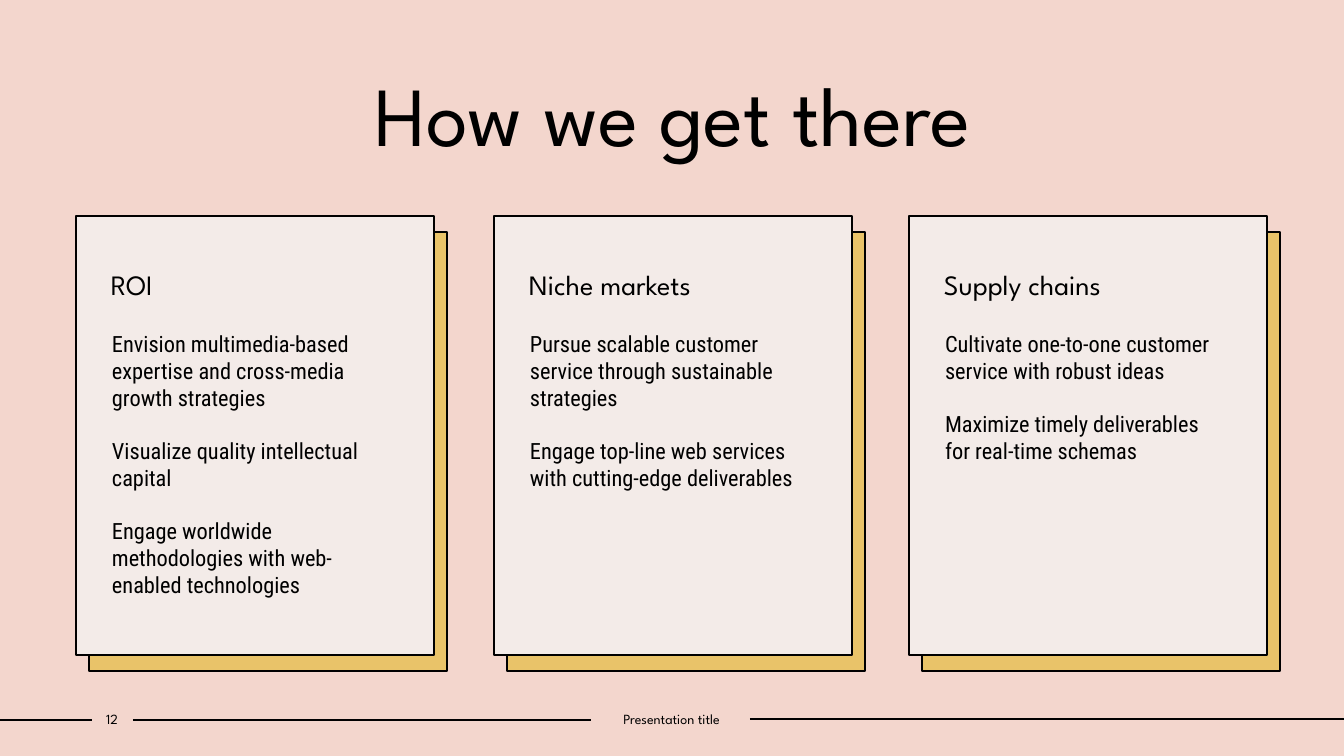
import pptx
import pptx.dml.color
import pptx.enum.shapes
import pptx.enum.text
import pptx.oxml.ns
import pptx.util
from lxml import etree

SLIDE_WIDTH, SLIDE_HEIGHT = 1344, 756
PX = 12192000 / SLIDE_WIDTH
BLACK = pptx.dml.color.RGBColor(0x00, 0x00, 0x00)
PINK = pptx.dml.color.RGBColor(0xF3, 0xD6, 0xCD)
CREAM = pptx.dml.color.RGBColor(0xF3, 0xEB, 0xE8)
GOLD = pptx.dml.color.RGBColor(0xE9, 0xC3, 0x69)
HEADING_FONT = "League Spartan"
LIST_FONT = "Roboto Condensed"
ALIGN = pptx.enum.text.PP_ALIGN
ANCHOR = pptx.enum.text.MSO_ANCHOR

CARD_TOP, CARD_WIDTH, CARD_HEIGHT = 216, 358, 439
CARDS = [
    (76, "ROI", [
        "Envision multimedia-based expertise and cross-media growth strategies",
        "Visualize quality intellectual capital",
        "Engage worldwide methodologies with web-enabled technologies",
    ]),
    (494, "Niche markets", [
        "Pursue scalable customer service through sustainable strategies",
        "Engage top-line web services with cutting-edge deliverables",
    ]),
    (909, "Supply chains", [
        "Cultivate one-to-one customer service with robust ideas",
        "Maximize timely deliverables for real-time schemas",
    ]),
]


def px(length):
    return pptx.util.Emu(round(length * PX))


def place(part, left, top, width, height):
    part.left, part.top = px(left), px(top)
    part.width, part.height = px(width), px(height)


def write(part, lines, font, size, align, anchor, insets, spacing=1.0, gap=0):
    frame = part.text_frame
    frame.text = "\n".join(lines)
    frame.word_wrap = True
    frame.auto_size = pptx.enum.text.MSO_AUTO_SIZE.NONE
    frame.vertical_anchor = anchor
    (frame.margin_left, frame.margin_top,
     frame.margin_right, frame.margin_bottom) = map(px, insets)
    for number, paragraph in enumerate(frame.paragraphs):
        properties = paragraph._p.get_or_add_pPr()
        properties.set("marL", "0")
        properties.set("indent", "0")
        etree.SubElement(properties, pptx.oxml.ns.qn("a:buNone"))
        paragraph.alignment = align
        paragraph.line_spacing = spacing
        paragraph.space_before = pptx.util.Pt(gap if number else 0)
        paragraph.space_after = pptx.util.Pt(0)
        for run in paragraph.runs:
            run.font.name = font
            run.font.size = pptx.util.Pt(size)
            run.font.bold = False
            run.font.color.rgb = BLACK


def add_panel(slide, left, top, width, height, color):
    panel = slide.shapes.add_shape(
        pptx.enum.shapes.MSO_SHAPE.RECTANGLE,
        px(left), px(top), px(width), px(height))
    panel.shadow.inherit = False
    panel.fill.solid()
    panel.fill.fore_color.rgb = color
    panel.line.color.rgb = BLACK
    panel.line.width = pptx.util.Pt(2)
    return panel


def add_title(slide, left, top, width, height):
    title = slide.shapes.title
    place(title, left, top, width, height)
    write(title, ["How we get there"], HEADING_FONT, 60, ALIGN.CENTER,
          ANCHOR.BOTTOM, (10, 5, 10, 5))


def add_card(slide, points, left, top, width, height, heading, lines):
    add_panel(slide, left + 13, top + 16, width, height, GOLD)
    front = add_panel(slide, left, top, width, height, CREAM)
    write(front, [heading], HEADING_FONT, 20, ALIGN.LEFT, ANCHOR.TOP,
          (35, 55, 10, 5), spacing=0.9)
    place(points, left + 26, top + 109, width - 56, height - 132)
    write(points, lines, LIST_FONT, 16, ALIGN.LEFT, ANCHOR.TOP,
          (10, 5, 10, 5), gap=19)
    front._element.addnext(points._element)


def add_footer(slide, left, top, width, height):
    for start, end, drop in [(0, 92, 15), (133, 591, 15), (750, width, 14)]:
        rule = slide.shapes.add_connector(
            pptx.enum.shapes.MSO_CONNECTOR.STRAIGHT,
            px(left + start), px(top + drop), px(left + end), px(top + drop))
        rule.line.color.rgb = BLACK
        rule.line.width = pptx.util.Pt(1)
        etree.SubElement(rule._element.spPr, pptx.oxml.ns.qn("a:effectLst"))
    for start, span, label in [(92, 40, "12"), (591, 161, "Presentation title")]:
        caption = slide.shapes.add_textbox(
            px(left + start), px(top), px(span), px(height))
        write(caption, [label], HEADING_FONT, 10, ALIGN.CENTER,
              ANCHOR.MIDDLE, (0, 5, 0, 5))


def main():
    presentation = pptx.Presentation()
    presentation.slide_width = px(SLIDE_WIDTH)
    presentation.slide_height = px(SLIDE_HEIGHT)
    slide = presentation.slides.add_slide(presentation.slide_layouts[4])
    slide.background.fill.solid()
    slide.background.fill.fore_color.rgb = PINK

    add_title(slide, 126, 56, 1093, 112)
    *lists, spare = list(slide.placeholders)[1:]
    spare._element.getparent().remove(spare._element)
    for points, (left, heading, lines) in zip(lists, CARDS):
        add_card(slide, points, left, CARD_TOP, CARD_WIDTH, CARD_HEIGHT,
                 heading, lines)
    add_footer(slide, 0, 705, SLIDE_WIDTH, 28)
    presentation.save("out.pptx")


if __name__ == "__main__":
    main()
